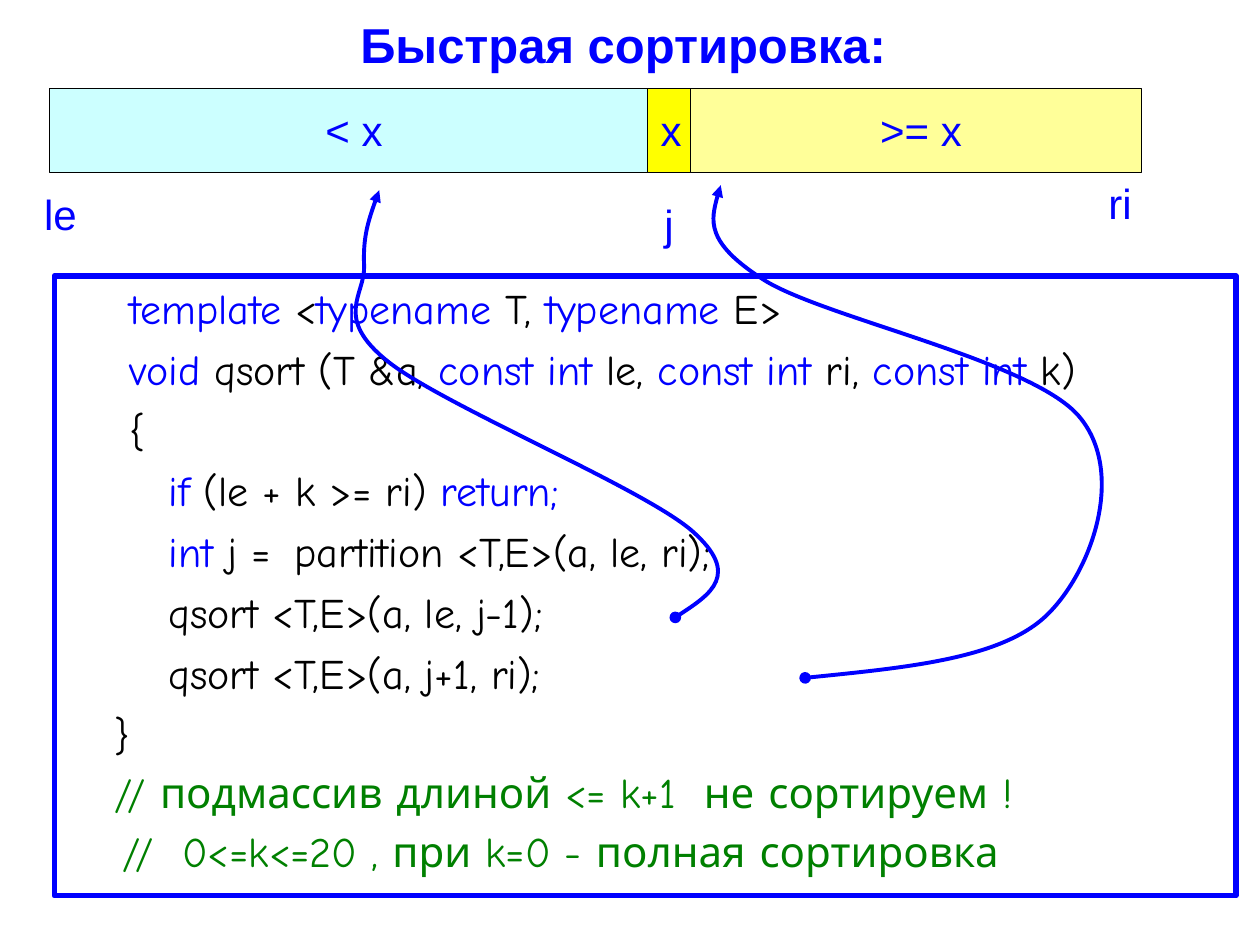
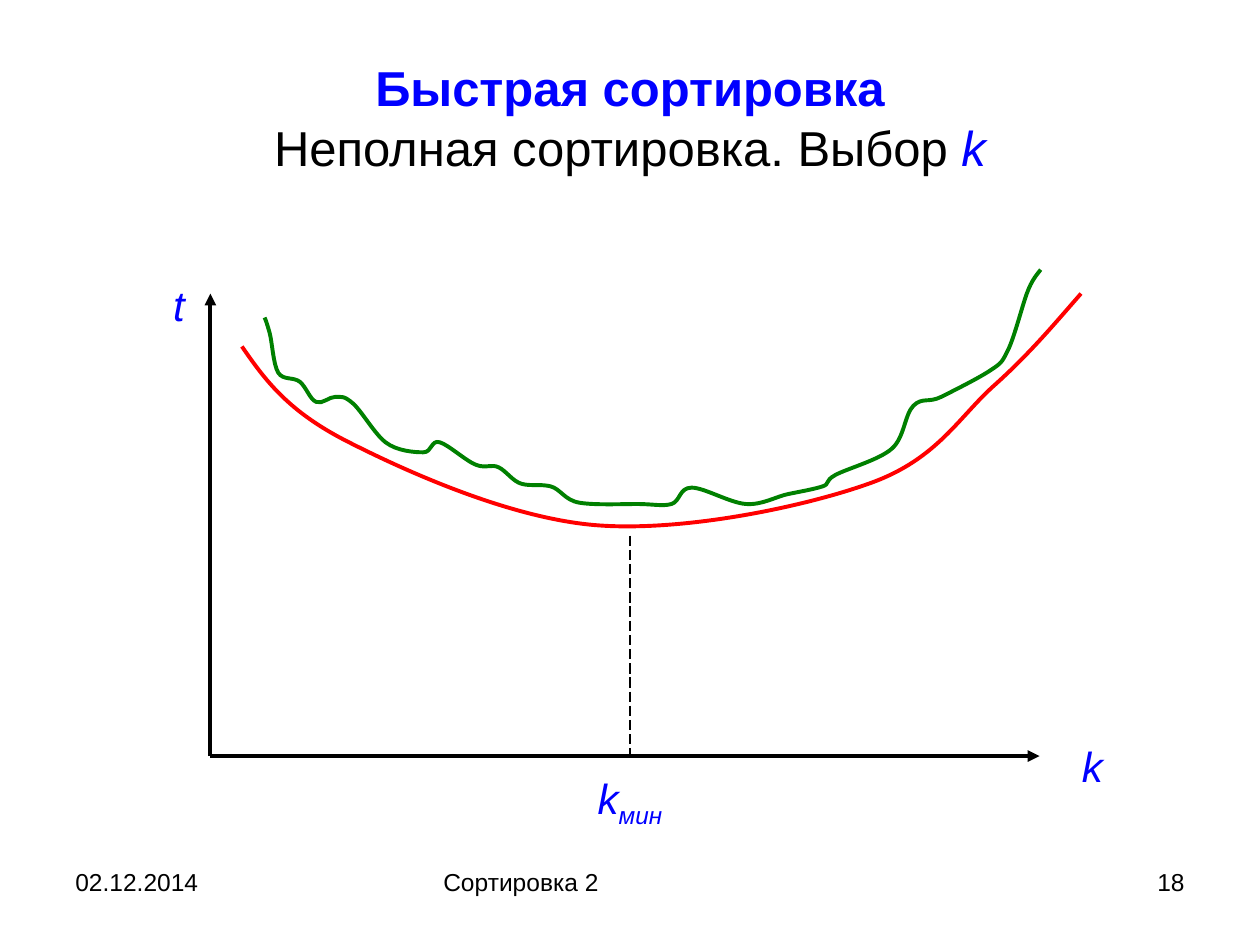
import pptx
import pptx.dml.color
import pptx.enum.dml
import pptx.enum.shapes
import pptx.enum.text
import pptx.oxml.ns
import pptx.oxml.xmlchemy
import pptx.util

BLUE = pptx.dml.color.RGBColor(0x00, 0x00, 0xFF)
BLACK = pptx.dml.color.RGBColor(0x00, 0x00, 0x00)
WHITE = pptx.dml.color.RGBColor(0xFF, 0xFF, 0xFF)
GREEN = pptx.dml.color.RGBColor(0x00, 0x80, 0x00)
RED = pptx.dml.color.RGBColor(0xFF, 0x00, 0x00)
YELLOW = pptx.dml.color.RGBColor(0xFF, 0xFF, 0x00)
PALE_CYAN = pptx.dml.color.RGBColor(0xCC, 0xFF, 0xFF)
PALE_YELLOW = pptx.dml.color.RGBColor(0xFF, 0xFF, 0x99)

# The slide is a grid of 10 columns by 7.5 rows of square cells.
CELL = pptx.util.Inches(1)
COLUMNS, ROWS = 10, 7.5
FINE = CELL // 100  # curves are drawn on a grid a hundred times finer

RECTANGLE = pptx.enum.shapes.MSO_SHAPE.RECTANGLE
LEFT = pptx.enum.text.PP_ALIGN.LEFT
CENTER = pptx.enum.text.PP_ALIGN.CENTER
RIGHT = pptx.enum.text.PP_ALIGN.RIGHT

TITLE = {"name": "Arial", "size": pptx.util.Pt(28), "color": BLUE, "bold": True}
SUBTITLE = {**TITLE, "color": BLACK, "bold": False}
LABEL = {"name": "Arial", "size": pptx.util.Pt(24), "color": BLUE}
VARIABLE = {**LABEL, "italic": True}
FOOTER = {"name": "Arial", "size": pptx.util.Pt(14), "color": BLACK}
CODE = {"name": "Comic Neue", "size": pptx.util.Pt(24), "color": BLACK}
KEYWORD = {**CODE, "color": BLUE}
COMMENT = {**CODE, "color": GREEN}

TITLE_LAYOUT = {"alignment": CENTER, "line_spacing": 0.8}
HANGING = 0.38


def write(frame, lines, layout, hanging=0, margin=0, gap=0):
    """Fill a text frame; each line is a list of (text, format) runs."""
    frame.word_wrap = True
    frame.vertical_anchor = pptx.enum.text.MSO_ANCHOR.TOP
    for number, runs in enumerate(lines):
        paragraph = frame.add_paragraph() if number else frame.paragraphs[0]
        properties = paragraph._p.get_or_add_pPr()
        properties.set("marL", str(round(margin * CELL)))
        properties.set("indent", str(round(-hanging * CELL)))
        paragraph.space_before = pptx.util.Pt(gap if number else 0)
        for name, value in layout.items():
            setattr(paragraph, name, value)
        for text, style in runs:
            run = paragraph.add_run()
            run.text = text
            for name, value in style.items():
                if name == "color":
                    run.font.color.rgb = value
                else:
                    setattr(run.font, name, value)


def draw_line(shape, color, width, head=None, tail=None):
    """Style a connector or curve, with optional ends and no shadow."""
    shape.line.color.rgb = color
    shape.line.width = pptx.util.Pt(width)
    for tag, kind in (("a:headEnd", head), ("a:tailEnd", tail)):
        if kind:
            end = pptx.oxml.xmlchemy.OxmlElement(tag)
            end.set("type", kind)
            shape.line._get_or_add_ln().append(end)
    shape._element.spPr.append(pptx.oxml.xmlchemy.OxmlElement("a:effectLst"))


presentation = pptx.Presentation()
presentation.slide_width = COLUMNS * CELL
presentation.slide_height = round(ROWS * CELL)
blank = presentation.slide_layouts[6]
code_slide = presentation.slides.add_slide(blank)
graph_slide = presentation.slides.add_slide(blank)

# Parts of the divided array, side by side
left = 0.39
for width, color in ((4.75, PALE_CYAN), (0.34, YELLOW), (3.58, PALE_YELLOW)):
    box = (left, 0.7, width, 0.67)
    part = code_slide.shapes.add_shape(RECTANGLE, *[round(n * CELL) for n in box])
    part.shadow.inherit = False
    part.fill.solid()
    part.fill.fore_color.rgb = color
    part.line.color.rgb = BLACK
    part.line.width = pptx.util.Pt(0.75)
    left += width

# Labels: centre column, top row, width
for slide, text, style, center, top, width in (
    (code_slide, "x", LABEL, 5.31, 0.78, 0.33),
    (code_slide, "< x", LABEL, 2.81, 0.78, 1.33),
    (code_slide, ">= x", LABEL, 7.31, 0.78, 1.17),
    (code_slide, "j", LABEL, 5.31, 1.53, 0.5),
    (code_slide, "le", LABEL, 0.48, 1.45, 0.5),
    (code_slide, "ri", LABEL, 8.89, 1.36, 0.5),
    (graph_slide, "k", VARIABLE, 8.67, 5.83, 0.67),
    (graph_slide, "t", VARIABLE, 1.42, 2.17, 0.67),
    (graph_slide, "k мин", VARIABLE, 5, 6.08, 1.17),
):
    box = (center - width / 2, top, width, 0.5)
    label = slide.shapes.add_textbox(*[round(n * CELL) for n in box])
    runs = [(piece, style) for piece in text.split()] if style is VARIABLE else [(text, style)]
    write(label.text_frame, [runs], {"alignment": CENTER})
    for subscript in label.text_frame.paragraphs[0].runs[1:]:
        subscript.font._element.set("baseline", "-25000")

# Titles
formula = {**SUBTITLE, "color": BLUE, "italic": True}
for slide, top, height, lines in (
    (code_slide, 0.16, 0.49, [[("Быстрая сортировка: ", TITLE)]]),
    (graph_slide, 0.5, 1, [
        [("Быстрая сортировка", TITLE)],
        [("Неполная сортировка. Выбор ", SUBTITLE), ("k", formula)],
    ]),
):
    title = slide.shapes.add_textbox(*[round(n * CELL) for n in (0.5, top, 9, height)])
    write(title.text_frame, lines, TITLE_LAYOUT, HANGING, HANGING, gap=7)

# Footer
for text, left, width, alignment in (
    ("02.12.2014", 0.5, 2.33, LEFT),
    ("Сортировка 2", 3.42, 3.17, LEFT),
    ("18", 7.17, 2.33, RIGHT),
):
    box = (left, 6.83, width, 0.52)
    footer = graph_slide.shapes.add_textbox(*[round(n * CELL) for n in box])
    write(footer.text_frame, [[(text, FOOTER)]], {"alignment": alignment})

# Code: every second piece between bars is a keyword
code_lines = [
    "|template| <|typename| T, |typename| E>",
    "|void| qsort (T &a, |const int |le, |const int |ri, |const int |k)",
    "{",
    "\t|if| (le + k >= ri) |return;",
    "\t|int |j =\tpartition <T,E>(a, le, ri);",
    "\tqsort <T,E>(a, le, j-1);",
    "\tqsort <T,E>(a, j+1, ri);",
]
closing_lines = [
    ("\t}", CODE),
    ("\t// подмассив длиной <= k+1  не сортируем !", COMMENT),
    ("    //  0<=k<=20 , при k=0 - полная сортировка", COMMENT),
]
lines = [
    [(text, (CODE, KEYWORD)[n % 2]) for n, text in enumerate(line.split("|")) if text]
    for line in code_lines
] + [[closing] for closing in closing_lines]
code_box = code_slide.shapes.add_shape(
    RECTANGLE, *[round(n * CELL) for n in (0.43, 2.19, 9.38, 4.92)]
)
code_box.shadow.inherit = False
code_box.fill.solid()
code_box.fill.fore_color.rgb = WHITE
code_box.line.color.rgb = BLUE
code_box.line.width = pptx.util.Pt(3)
write(code_box.text_frame, lines, {"alignment": LEFT}, hanging=0.31, margin=0.81, gap=6)
for number, paragraph in enumerate(code_box.text_frame.paragraphs):
    properties = paragraph._p.get_or_add_pPr()
    if number >= len(code_lines):
        paragraph.line_spacing = 0.95
        properties.set("marL", str(round(HANGING * CELL)))
        properties.set("indent", str(round(-HANGING * CELL)))
    if number == len(code_lines):
        paragraph.space_before = pptx.util.Pt(8)
    tabs = pptx.oxml.xmlchemy.OxmlElement("a:tabLst")
    for column in range(8):
        tab = pptx.oxml.xmlchemy.OxmlElement("a:tab")
        tab.set("pos", str(column * CELL))
        tab.set("algn", "l")
        tabs.append(tab)
    properties.append(tabs)

# Axes and the mark of the minimum
origin = (1.67, 6)
for start, end, width, tail in (
    (origin, (1.67, 2.33), 2.25, "triangle"),
    (origin, (8.25, 6), 2.25, "triangle"),
    ((5, 4.25), (5, 6), 0.75, None),
):
    line = graph_slide.shapes.add_connector(
        pptx.enum.shapes.MSO_CONNECTOR.STRAIGHT,
        *[round(n * CELL) for n in start + end],
    )
    if tail is None:
        line.line.dash_style = pptx.enum.dml.MSO_LINE.LONG_DASH
    draw_line(line, BLACK, width, tail=tail)

# Smooth curves through knots on the fine grid
left_call = [(536, 490), (550, 422), (308, 287), (289, 211), (301, 151)]
right_call = [(639, 538), (831, 488), (856, 330), (606, 222), (572, 147)]
smooth_time = [(192, 275), (275, 350), (475, 417), (692, 383), (789, 306), (858, 233)]
measured_time = [
    (210, 252), (214, 264), (221, 296), (238, 303), (251, 319), (266, 315),
    (280, 320), (306, 351), (336, 359), (349, 351), (378, 369), (396, 371),
    (414, 384), (437, 386), (460, 399), (506, 400), (533, 400), (549, 387),
    (592, 400), (626, 392), (653, 386), (663, 377), (708, 356), (725, 322),
    (747, 315), (786, 294), (800, 278), (815, 233), (826, 214),
]
for slide, knots, color, head, tail in (
    (code_slide, left_call, BLUE, "oval", "triangle"),
    (code_slide, right_call, BLUE, "oval", "triangle"),
    (graph_slide, smooth_time, RED, None, None),
    (graph_slide, measured_time, GREEN, None, None),
):
    # Around each inner knot the handles follow the line between its neighbours
    handles = []
    for before, knot, after in zip(knots, knots[1:], knots[2:]):
        slope = [(b - a) / 6 for a, b in zip(before, after)]
        handles.append([k - s for k, s in zip(knot, slope)])
        handles.append([k + s for k, s in zip(knot, slope)])
    first_handle = [(a + b) / 2 for a, b in zip(knots[0], handles[0])]
    last_handle = [(a + b) / 2 for a, b in zip(knots[-1], handles[-1])]
    handles = [first_handle, *handles, last_handle]
    points = []
    for outgoing, incoming, knot in zip(handles[::2], handles[1::2], knots[1:]):
        points += [outgoing, incoming, knot]

    builder = slide.shapes.build_freeform(*knots[0], scale=FINE)
    builder.add_line_segments(points, close=False)
    curve = builder.convert_to_shape()
    segments = list(curve._element.iter(pptx.oxml.ns.qn("a:lnTo")))
    for first in range(0, len(segments), 3):
        bezier = pptx.oxml.xmlchemy.OxmlElement("a:cubicBezTo")
        segments[first].addprevious(bezier)
        for segment in segments[first:first + 3]:
            bezier.append(segment[0])
            segment.getparent().remove(segment)
    curve.fill.background()
    draw_line(curve, color, 2.25, head, tail)

presentation.save("out.pptx")
